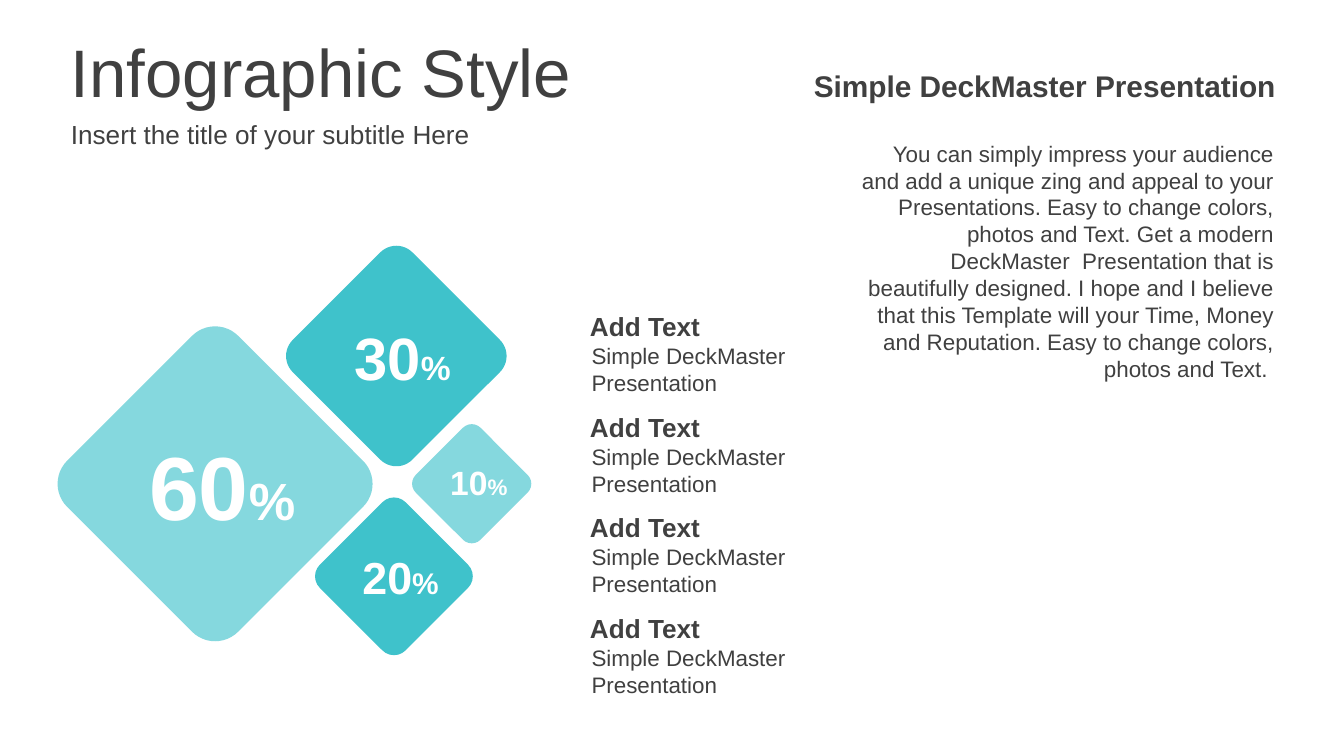
import pptx
import pptx.dml.color
import pptx.enum.shapes
import pptx.enum.text
import pptx.util

Cm = pptx.util.Cm
RGBColor = pptx.dml.color.RGBColor
PP_ALIGN = pptx.enum.text.PP_ALIGN
MSO_AUTO_SIZE = pptx.enum.text.MSO_AUTO_SIZE

DARK = RGBColor(0x40, 0x40, 0x40)
WHITE = RGBColor(0xFF, 0xFF, 0xFF)
TEAL = RGBColor(0x3F, 0xC2, 0xCB)
LIGHT_TEAL = RGBColor(0x85, 0xD8, 0xDE)


class Deck:
    font = "Arial"
    corner = 0.135

    def __init__(self, width, height):
        self.prs = pptx.Presentation()
        self.prs.slide_width = Cm(width)
        self.prs.slide_height = Cm(height)
        self.s = self.prs.slides.add_slide(self.prs.slide_layouts[6])

    def text(self, box, runs, color=DARK, bold=False,
             align=PP_ALIGN.LEFT, wrap=True, grow=True):
        sp = self.s.shapes.add_textbox(*map(Cm, box))
        tf = sp.text_frame
        tf.word_wrap = wrap
        tf.auto_size = MSO_AUTO_SIZE.SHAPE_TO_FIT_TEXT if grow else MSO_AUTO_SIZE.NONE
        tf.vertical_anchor = pptx.enum.text.MSO_ANCHOR.MIDDLE
        p = tf.paragraphs[0]
        p.alignment = align
        for words, size in runs:
            r = p.add_run()
            r.text = words
            r.font.name = self.font
            r.font.size = pptx.util.Pt(size)
            r.font.bold = bold
            r.font.color.rgb = color

    def diamond(self, left, top, side, color):
        sp = self.s.shapes.add_shape(
            pptx.enum.shapes.MSO_SHAPE.ROUNDED_RECTANGLE,
            Cm(left), Cm(top), Cm(side), Cm(side))
        sp.adjustments[0] = self.corner
        sp.rotation = 45
        sp.shadow.inherit = False
        sp.fill.solid()
        sp.fill.fore_color.rgb = color
        sp.line.fill.background()

    def percent(self, box, number, size, sign_size):
        self.text(box, [(number, size), ("%", sign_size)],
                  color=WHITE, bold=True, wrap=False)

    def item(self, left, top, heading, detail):
        self.text((left, top, 4.78, 0.86), [(heading, 14)], bold=True)
        self.text((left + 0.03, top + 0.6, 4.78, 1.28), [(detail, 12)])

    def save(self):
        self.prs.save("out.pptx")


def main():
    tagline = "Simple DeckMaster Presentation"
    body = (
        "You can simply impress your audience and add a unique zing and appeal "
        "to your Presentations. Easy to change colors, photos and Text. Get a "
        "modern DeckMaster  Presentation that is beautifully designed. I hope "
        "and I believe that this Template will your Time, Money and Reputation. "
        "Easy to change colors, photos and Text. "
    )
    diamonds = [
        (1.78, 6.86, 4.57, LIGHT_TEAL),
        (5.89, 5.13, 3.2, TEAL),
        (6.3, 9.75, 2.29, TEAL),
        (8.05, 8.28, 1.73, LIGHT_TEAL),
    ]
    percents = [
        ((2.57, 8, 3.3, 2.31), "60", 48, 28),
        ((6.45, 5.92, 2.34, 1.63), "30", 32, 18),
        ((6.6, 10.26, 2.03, 1.27), "20", 24, 16),
        ((8.26, 8.61, 1.6, 1.02), "10", 18, 12),
    ]

    deck = Deck(25.4, 14.29)
    deck.text((1.09, 0.53, 23.39, 1.6), [("Infographic Style", 36)], grow=False)
    deck.text((1.09, 2.13, 23.39, 0.79),
              [("Insert the title of your subtitle Here", 14)], grow=False)
    for diamond in diamonds:
        deck.diamond(*diamond)
    for percent in percents:
        deck.percent(*percent)
    for row in range(4):
        deck.item(10.9, 5.74 + 1.9 * row, "Add Text", tagline)
    deck.text((14.91, 1.14, 9.45, 0.94), [(tagline, 16)],
              bold=True, align=PP_ALIGN.RIGHT)
    deck.text((15.85, 2.49, 8.48, 4.88), [(body, 12)], align=PP_ALIGN.RIGHT)
    deck.save()


if __name__ == "__main__":
    main()
